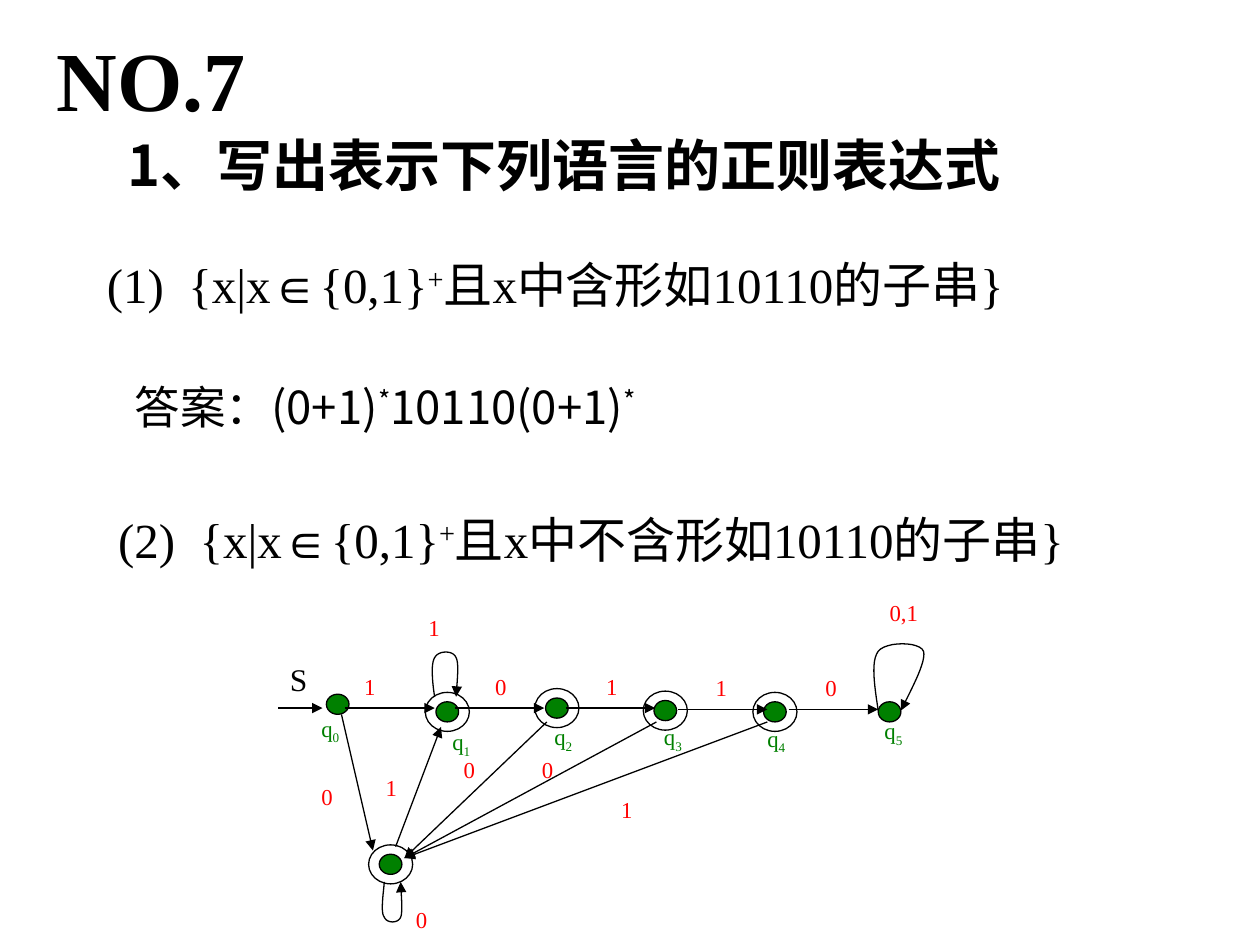
from dataclasses import dataclass

from lxml import etree
from pptx import Presentation
from pptx import util as u
from pptx.dml.color import RGBColor
from pptx.enum import shapes, text
from pptx.oxml.ns import qn

HUES = {"ink": "000000", "state": "008000", "input": "FF0000"}
SERIF, SANS = "Times New Roman", "Noto Sans CJK SC"
DOT, RING, TAG = (0.18, 0.16), (0.35, 0.31), (0.53, 0.47)
STEPS = 12


@dataclass
class Run:
    words: str
    face: str = SERIF
    base: int = 0


@dataclass
class Box:
    at: tuple[float, float, float, float]
    runs: list[Run]
    size: float
    hue: str = "ink"
    bold: bool = False
    wrap: bool = True
    anchor: text.MSO_ANCHOR = text.MSO_ANCHOR.TOP
    side: float = 0.1


@dataclass
class State:
    x: float
    y: float
    final: bool = True


@dataclass
class Tag:
    x: float
    y: float
    words: str
    sub: str = ""
    hue: str = "input"
    size: float = 13
    width: float = TAG[0]


def cm(inch: float) -> u.Length:
    """Turn a place on the inch grid of the slide into a Cm length."""
    return u.Cm(inch * 2.54)


def color(hue: str) -> RGBColor:
    return RGBColor.from_string(HUES[hue])


def write(home, box: Box) -> None:
    frame = home.add_textbox(*map(cm, box.at)).text_frame
    look = {"word_wrap": box.wrap, "vertical_anchor": box.anchor,
            "auto_size": text.MSO_AUTO_SIZE.NONE,
            "margin_left": cm(box.side), "margin_right": cm(box.side),
            "margin_top": cm(0.05), "margin_bottom": cm(0.05)}
    for key, val in look.items():
        setattr(frame, key, val)
    for part in box.runs:
        run = frame.paragraphs[0].add_run()
        run.text = part.words
        font = {"size": u.Pt(box.size), "bold": box.bold, "name": part.face}
        for key, val in font.items():
            setattr(run.font, key, val)
        run.font.color.rgb = color(box.hue)
        props = run.font._element
        etree.SubElement(props, qn("a:ea")).set("typeface", SANS)
        if part.base:
            props.set("baseline", str(part.base * 1000))


def label(home, tag: Tag) -> None:
    runs = [Run(tag.words)]
    if tag.sub:
        runs.append(Run(tag.sub, base=-25))
    at = (tag.x, tag.y, tag.width, TAG[1])
    write(home, Box(at, runs, tag.size, tag.hue, side=0.09))


def stroke(item, head: bool = False) -> None:
    """Draw a thin outline, with an arrowhead at its end if wanted."""
    item.line.color.rgb = color("ink")
    item.line.width = u.Pt(0.75)
    if head:
        tip = etree.SubElement(item.line._get_or_add_ln(), qn("a:tailEnd"))
        tip.set("type", "triangle")


def oval(home, x: float, y: float, size: tuple[float, float], hue: str = "") -> None:
    """Draw an ellipse around the centre x, y."""
    wide, high = size
    item = home.add_shape(shapes.MSO_SHAPE.OVAL, cm(x - wide / 2),
                          cm(y - high / 2), cm(wide), cm(high))
    item.shadow.inherit = False
    if hue:
        item.fill.solid()
        item.fill.fore_color.rgb = color(hue)
    else:
        item.fill.background()
    stroke(item)


def arrow(home, *ends: float) -> None:
    item = home.add_connector(shapes.MSO_CONNECTOR.STRAIGHT, *map(cm, ends))
    stroke(item, head=True)
    etree.SubElement(item._element.spPr, qn("a:effectLst"))


def loop(home, knots: list[tuple[float, float]]) -> None:
    """Draw a chain of cubic curves: a start, then three points for each."""
    path = []
    for i in range(0, len(knots) - 1, 3):
        a, b, c, d = knots[i:i + 4]
        for t in (n / STEPS for n in range(1, STEPS + 1)):
            s = 1 - t
            path.append(tuple(
                cm(s**3 * a[k] + 3 * s * s * t * b[k] + 3 * s * t * t * c[k] + t**3 * d[k])
                for k in (0, 1)))
    pen = home.build_freeform(*map(cm, knots[0]))
    pen.add_line_segments(path, close=False)
    item = pen.convert_to_shape()
    item.shadow.inherit = False
    item.fill.background()
    stroke(item, head=True)


def task(num: int, tail: str) -> list[Run]:
    return [Run(f"({num})  {{x|x"), Run("∈", "Arial"), Run("{0,1}"),
            Run("+", base=30), Run(tail)]


STAR = Run("*", SANS, 30)
TEXTS = [
    Box((0.35, 0.17, 2.56, 0.9), [Run("NO.7")], 48, bold=True),
    Box((0.91, 0.99, 7.25, 0.64), [Run("1、写出表示下列语言的正则表达式", SANS)],
        32, bold=True, wrap=False),
    Box((0.75, 1.54, 8.11, 1), task(1, "且x中含形如10110的子串}"), 28,
        anchor=text.MSO_ANCHOR.BOTTOM),
    Box((0.97, 2.96, 4.89, 0.54),
        [Run("答案：(0+1)", SANS), STAR, Run("10110(0+1)", SANS), STAR],
        26, wrap=False),
    Box((0.84, 3.99, 8.16, 0.57), task(2, "且x中不含形如10110的子串}"), 28,
        anchor=text.MSO_ANCHOR.MIDDLE),
]

STATES = [State(2.68, 5.59, False), State(3.55, 5.65), State(4.42, 5.62),
          State(5.28, 5.64), State(6.15, 5.65), State(7.06, 5.65, False),
          State(3.1, 6.86)]

NAMES = [(2.46, 5.62), (3.5, 5.73), (4.31, 5.69), (5.18, 5.69), (6, 5.7), (6.93, 5.64)]
TAGS = [Tag(x, y, "q", str(i), "state") for i, (x, y) in enumerate(NAMES)] + [
    Tag(2.21, 5.19, "S", hue="ink", size=18),
    Tag(2.8, 5.29, "1"), Tag(3.84, 5.29, "0"), Tag(4.72, 5.29, "1"),
    Tag(5.59, 5.3, "1"), Tag(6.46, 5.3, "0"),
    Tag(3.31, 4.82, "1"), Tag(6.97, 4.7, "0,1", width=0.88), Tag(3.21, 7.14, "0"),
    Tag(2.46, 6.16, "0"), Tag(2.97, 6.09, "1"),
    Tag(3.59, 5.95, "0"), Tag(4.21, 5.95, "0"), Tag(4.84, 6.27, "1"),
]

ARROWS = [(2.21, 5.62, 2.56, 5.62)]
ARROWS += [(x, y, x + 0.71, y) for x, y in
           [(2.74, 5.62), (3.61, 5.62), (4.49, 5.62), (5.38, 5.63), (6.26, 5.63)]]
ARROWS += [(2.71, 5.67, 2.96, 6.75), (3.14, 6.72, 3.5, 5.77)]
ARROWS += [(x, 5.73, 3.21, 6.81) for x in (4.34, 5.21, 6.09)]

LOOPS = [
    [(3.45, 5.53), (3.43, 5.4), (3.42, 5.27), (3.45, 5.22), (3.48, 5.16),
     (3.6, 5.16), (3.62, 5.22), (3.65, 5.27), (3.62, 5.48), (3.62, 5.53)],
    [(6.97, 5.64), (6.94, 5.44), (6.91, 5.25), (6.97, 5.17), (7.03, 5.09),
     (7.3, 5.09), (7.33, 5.17), (7.35, 5.25), (7.25, 5.44), (7.15, 5.64)],
    [(3.05, 7), (3.04, 7.12), (3.02, 7.24), (3.05, 7.28), (3.07, 7.33),
     (3.16, 7.33), (3.18, 7.28), (3.2, 7.24), (3.18, 7.05), (3.18, 7)],
]


def main() -> None:
    deck = Presentation()
    deck.slide_width, deck.slide_height = cm(10), cm(7.5)
    slide = deck.slides.add_slide(deck.slide_layouts[6])
    for box in TEXTS:
        write(slide.shapes, box)
    graph = slide.shapes.add_group_shape().shapes
    for state in STATES:
        oval(graph, state.x, state.y, DOT, "state")
        if state.final:
            oval(graph, state.x, state.y, RING)
    for ends in ARROWS:
        arrow(graph, *ends)
    for knots in LOOPS:
        loop(graph, knots)
    for tag in TAGS:
        label(graph, tag)
    deck.save("out.pptx")


if __name__ == "__main__":
    main()
